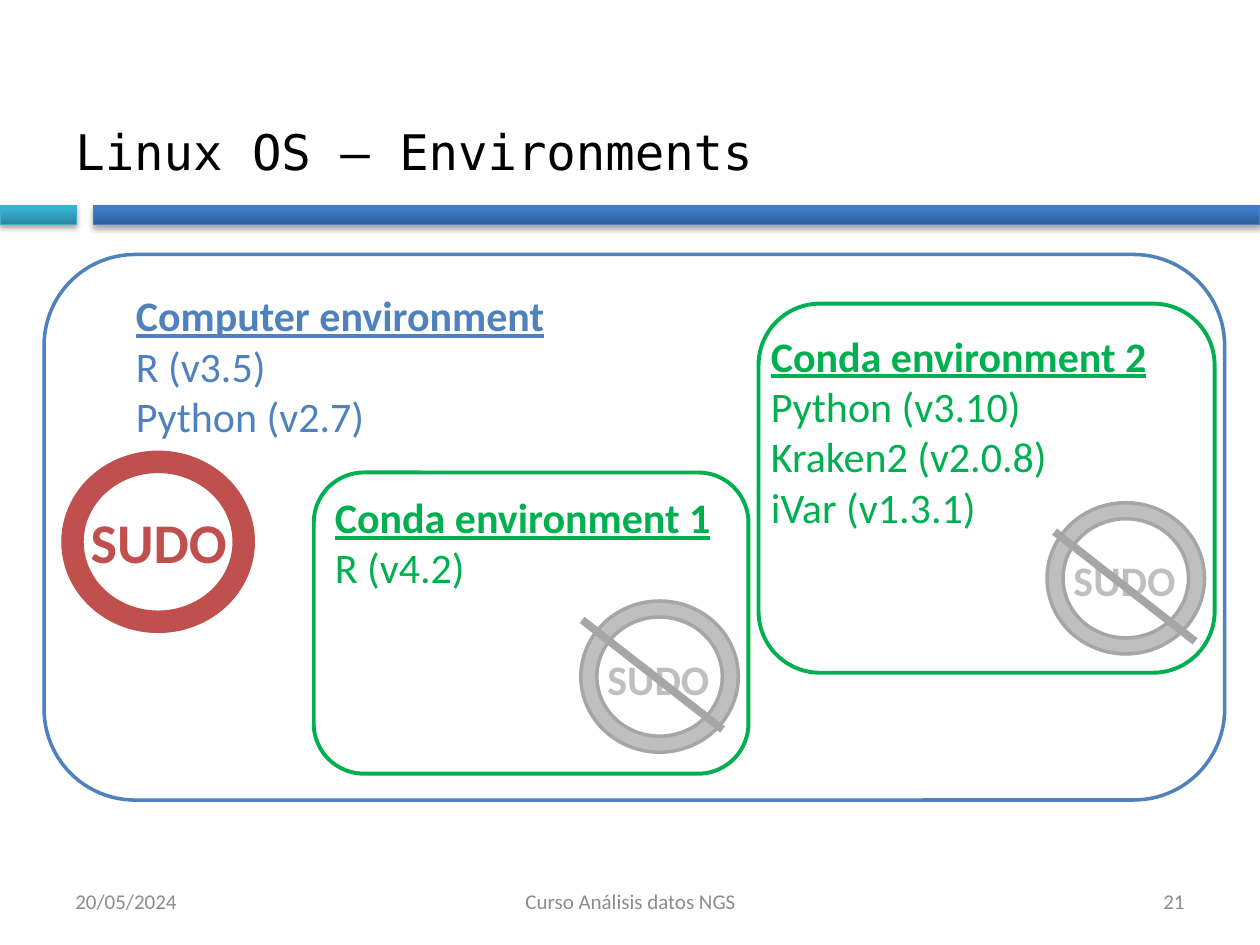
from dataclasses import dataclass

from lxml.etree import SubElement
from pptx import Presentation
from pptx.dml.color import RGBColor
from pptx.enum.shapes import MSO_CONNECTOR, MSO_SHAPE
from pptx.enum.text import MSO_ANCHOR, MSO_AUTO_SIZE, PP_ALIGN
from pptx.oxml.ns import qn
from pptx.util import Inches, Pt

COLUMNS, ROWS = 100, 75
WIDTH, HEIGHT = Inches(10), Inches(7.5)


@dataclass(frozen=True)
class Theme:
    """Colours, fonts and type sizes of the slide."""

    ink: str = "000000"
    muted: str = "8C8C8C"
    computer: str = "4F81BD"
    conda: str = "00B050"
    allowed: str = "C0504D"
    denied: str = "BFBFBF"
    denied_edge: str = "A6A6A6"
    blue_bar: tuple = ("2F5F99", "3D7CC7", "3A7CCB")
    blue_edge: str = "4B7EBC"
    teal_bar: tuple = ("2A88A2", "37B1D2", "34B4D6")
    teal_edge: str = "46AAC5"
    body_font: str = "Calibri"
    title_font: str = "DejaVu Sans Mono"
    title: int = 28
    badge: int = 32
    body: int = 24
    footer: int = 12


THEME = Theme()


def on_grid(*lengths):
    """Turn alternating column and row counts into slide lengths."""
    units = (WIDTH / COLUMNS, HEIGHT / ROWS)
    return [round(length * units[i % 2]) for i, length in enumerate(lengths)]


def add_outline(slide, kind, area, edge, weight, fill=None):
    """Add a preset shape with a coloured edge and an optional fill."""
    shape = slide.shapes.add_shape(kind, *on_grid(*area))
    shape.shadow.inherit = False
    shape.line.color.rgb = RGBColor.from_string(edge)
    shape.line.width = Pt(weight)
    if fill:
        shape.fill.solid()
        shape.fill.fore_color.rgb = RGBColor.from_string(fill)
    else:
        shape.fill.background()
    return shape


def add_bar(slide, area, shades, edge):
    """Add a header bar with a vertical gradient and a soft shadow."""
    bar = add_outline(slide, MSO_SHAPE.RECTANGLE, area, edge, 0.75)
    bar.fill.gradient()
    bar.fill.gradient_angle = 90
    properties = bar._element.spPr
    stops = properties.find(".//" + qn("a:gsLst"))
    stops.clear()
    for position, shade in zip((0, 80, 100), shades):
        stop = SubElement(stops, qn("a:gs"), pos=str(position * 1000))
        SubElement(stop, qn("a:srgbClr"), val=shade)
    shadow = SubElement(properties.find(qn("a:effectLst")), qn("a:outerShdw"),
                        blurRad=str(Pt(3.1)), dist=str(Pt(1.8)),
                        dir="5400000", rotWithShape="0")
    tint = SubElement(shadow, qn("a:srgbClr"), val=THEME.ink)
    SubElement(tint, qn("a:alpha"), val="35000")


def add_text(slide, area, lines, size, color, font=THEME.body_font,
             align=PP_ALIGN.LEFT, anchor=MSO_ANCHOR.TOP):
    """Add a wrapped text box with one run per line and return the runs."""
    box = slide.shapes.add_textbox(*on_grid(*area))
    frame = box.text_frame
    frame.word_wrap = True
    frame.auto_size = MSO_AUTO_SIZE.NONE
    frame.vertical_anchor = anchor
    runs = []
    for index, line in enumerate(lines):
        paragraph = frame.add_paragraph() if index else frame.paragraphs[0]
        paragraph.alignment = align
        run = paragraph.add_run()
        run.text = line
        run.font.name = font
        run.font.size = Pt(size)
        run.font.color.rgb = RGBColor.from_string(color)
        runs.append(run)
    return runs


def add_environment(slide, frame, text_area, lines, color, weight):
    """Add a rounded environment frame with its heading and tools."""
    add_outline(slide, MSO_SHAPE.ROUNDED_RECTANGLE, frame, color, weight)
    heading = add_text(slide, text_area, lines, THEME.body, color)[0]
    heading.font.bold = True
    heading.font.underline = True


def add_sudo(slide, ring, label, size, color, edge):
    """Add a ring with the outlined word SUDO inside."""
    donut = add_outline(slide, MSO_SHAPE.DONUT, ring, edge, 2, color)
    donut.adjustments[0] = 0.106
    word = add_text(slide, label, ["SUDO"], size, color, align=PP_ALIGN.CENTER)[0]
    word.font.bold = True
    stroke = word.font.fill
    properties = word._r.get_or_add_rPr()
    outline = SubElement(properties, qn("a:ln"), w=str(Pt(0.75)))
    SubElement(SubElement(outline, qn("a:solidFill")), qn("a:srgbClr"), val=color)
    properties.insert(0, outline)


def add_denied_sudo(slide, left, top, slash_left, slash_top):
    """Add a grey SUDO ring struck through by a slash."""
    add_sudo(slide, (left, top, 12.5, 12), (left + 0.6, top + 3.65, 11.1, 5),
             THEME.body, THEME.denied, THEME.denied_edge)
    ends = on_grid(slash_left, slash_top, slash_left + 11.15, slash_top + 8.7)
    slash = slide.shapes.add_connector(MSO_CONNECTOR.STRAIGHT, *ends)
    slash.line.color.rgb = RGBColor.from_string(THEME.denied_edge)
    slash.line.width = Pt(4.5)
    SubElement(slash._element.spPr, qn("a:effectLst"))


def add_footer(slide):
    """Add the date, the course name and the slide number."""
    for left, width, line, align in (
        (5, 23.3, "20/05/2024", PP_ALIGN.LEFT),
        (34.2, 31.7, "Curso Análisis datos NGS", PP_ALIGN.CENTER),
        (71.7, 23.3, "21", PP_ALIGN.RIGHT),
    ):
        add_text(slide, (left, 69.5, width, 4), [line], THEME.footer,
                 THEME.muted, align=align, anchor=MSO_ANCHOR.MIDDLE)


def main():
    """Build the environments slide."""
    deck = Presentation()
    deck.slide_width, deck.slide_height = WIDTH, HEIGHT
    slide = deck.slides.add_slide(deck.slide_layouts[6])

    add_bar(slide, (7.4, 16.3, 92.6, 1.5), THEME.blue_bar, THEME.blue_edge)
    add_bar(slide, (0, 16.3, 6.1, 1.5), THEME.teal_bar, THEME.teal_edge)
    add_text(slide, (5, 7.6, 90, 8.7), ["Linux OS – Environments"], THEME.title,
             THEME.ink, THEME.title_font, anchor=MSO_ANCHOR.MIDDLE)

    add_environment(slide, (3.5, 20.2, 93.7, 43.3), (9.8, 22.5, 35.4, 16.5),
                    ["Computer environment", "R (v3.5)", "Python (v2.7)"],
                    THEME.computer, 2)
    add_sudo(slide, (5, 35.9, 15.1, 14.2), (5.9, 39.8, 13.4, 6.4),
             THEME.badge, THEME.allowed, THEME.allowed)

    add_environment(slide, (60.2, 24.1, 36.2, 29.3), (60.2, 25.7, 35.4, 20.5),
                    ["Conda environment 2", "Python (v3.10)",
                     "Kraken2 (v2.0.8)", "iVar (v1.3.1)"], THEME.conda, 2.25)
    add_denied_sudo(slide, 83.1, 39.9, 83.7, 42.2)

    add_environment(slide, (24.9, 37.5, 34.5, 23.9), (25.6, 38.5, 33, 12.5),
                    ["Conda environment 1", "R (v4.2)"], THEME.conda, 2.25)
    add_denied_sudo(slide, 46.1, 47.7, 46.2, 49.2)

    add_footer(slide)
    deck.save("out.pptx")


if __name__ == "__main__":
    main()
